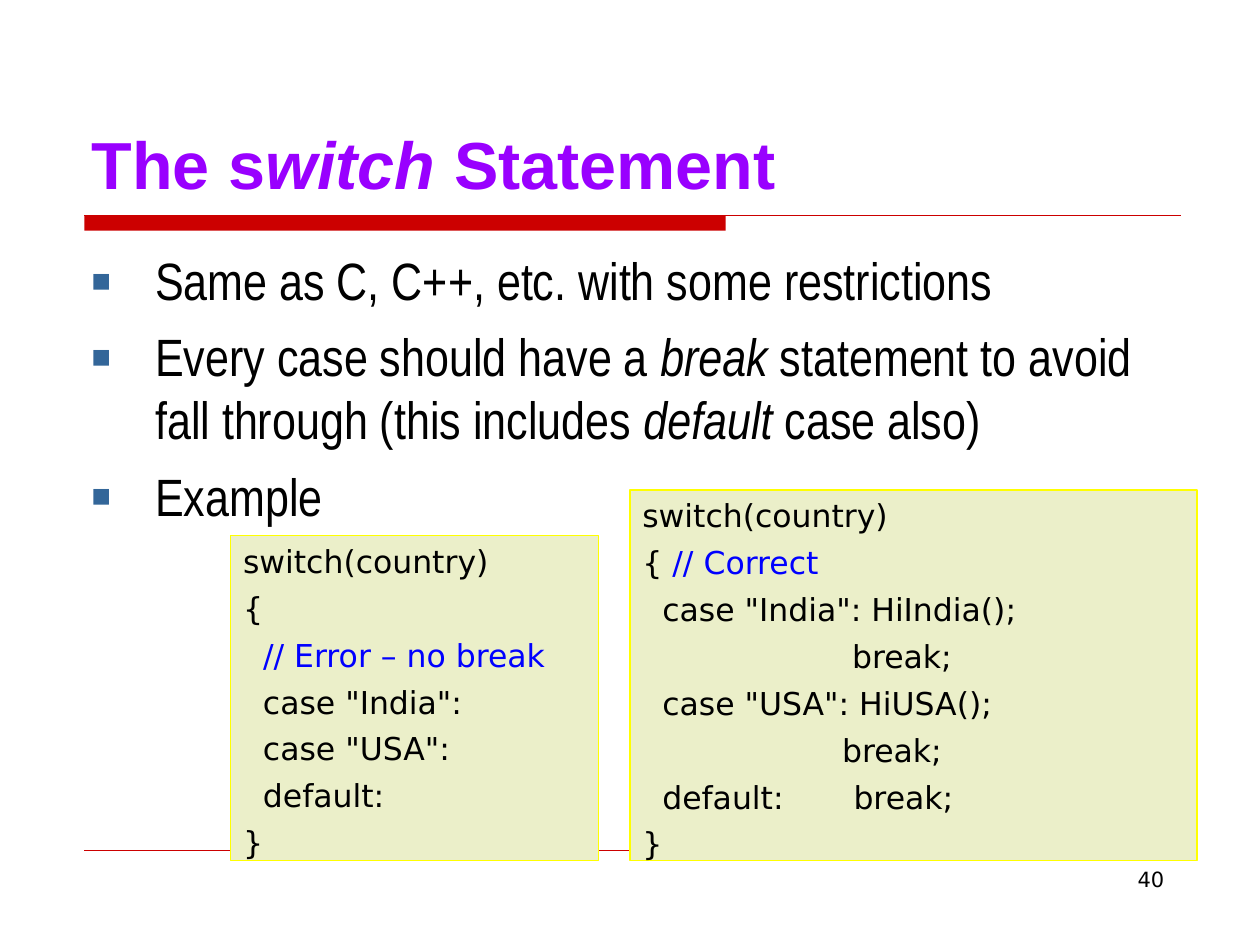
from dataclasses import dataclass

from lxml import etree
from pptx import Presentation
from pptx import util as u
from pptx.dml.color import RGBColor
from pptx.enum import shapes, text
from pptx.oxml.ns import qn


@dataclass(frozen=True)
class Theme:
    heading = RGBColor(0x99, 0x00, 0xFF)
    ink = RGBColor(0x00, 0x00, 0x00)
    comment = RGBColor(0x00, 0x00, 0xFF)
    rule = RGBColor(0xCC, 0x00, 0x00)
    panel = RGBColor(0xEB, 0xEF, 0xC9)
    panel_edge = RGBColor(0xFF, 0xFF, 0x00)
    bullet = "336699"
    title_font = {"name": "Arial", "size": u.Pt(38), "bold": True}
    body_font = {"name": "Arial Narrow", "size": u.Pt(30)}
    code_font = {"name": "DejaVu Sans", "size": u.Pt(18)}
    number_font = {"name": "DejaVu Sans", "size": u.Pt(12)}
    body_gap = u.Pt(7.5)
    code_gap = u.Pt(5.2)


def apply(target, values):
    for name, value in values.items():
        setattr(target, name, value)


class SlideBuilder:
    def __init__(self, slide, theme):
        self.slide = slide
        self.theme = theme

    def set_text(self, shape, paragraphs, font, color, frame=None, layout=None, gap=0, bulleted=False):
        text_frame = shape.text_frame
        apply(text_frame, {"word_wrap": True, **(frame or {})})
        for index, runs in enumerate(paragraphs):
            paragraph = text_frame.paragraphs[0] if index == 0 else text_frame.add_paragraph()
            apply(paragraph, layout or {})
            paragraph.space_before = gap if index else u.Pt(0)
            if bulleted:
                self.add_bullet(paragraph)
            for content, style in runs:
                run = paragraph.add_run()
                run.text = content
                run.font.color.rgb = style.get("color", color)
                apply(run.font, {**font, "italic": style.get("italic", False)})

    def add_bullet(self, paragraph):
        properties = paragraph._p.get_or_add_pPr()
        indent = u.Cm(1.3)
        properties.set("marL", str(indent))
        properties.set("indent", str(-indent))
        color = etree.SubElement(properties, qn("a:buClr"))
        etree.SubElement(color, qn("a:srgbClr"), val=self.theme.bullet)
        etree.SubElement(properties, qn("a:buSzPct"), val="60000")
        etree.SubElement(properties, qn("a:buFont"), typeface="DejaVu Sans")
        etree.SubElement(properties, qn("a:buChar"), char="▪")

    def add_text(self, box, paragraphs, font, color, **options):
        shape = self.slide.shapes.add_textbox(*map(u.Cm, box))
        self.set_text(shape, paragraphs, font, color, **options)

    def add_rectangle(self, box, fill, edge=None):
        shape = self.slide.shapes.add_shape(shapes.MSO_SHAPE.RECTANGLE, *map(u.Cm, box))
        shape.shadow.inherit = False
        shape.fill.solid()
        shape.fill.fore_color.rgb = fill
        if edge is None:
            shape.line.fill.background()
        else:
            shape.line.color.rgb = edge
            shape.line.width = u.Pt(0.75)
        return shape

    def add_rule(self, left, right, top, width):
        line = self.slide.shapes.add_connector(
            shapes.MSO_CONNECTOR.STRAIGHT, u.Cm(left), u.Cm(top), u.Cm(right), u.Cm(top))
        line.line.color.rgb = self.theme.rule
        line.line.width = u.Pt(width)
        etree.SubElement(line._element.spPr, qn("a:effectLst"))

    def add_code(self, box, lines):
        theme = self.theme
        panel = self.add_rectangle(box, theme.panel, theme.panel_edge)
        paragraphs = []
        for line in lines:
            code, marker, comment = line.partition("//")
            runs = [(code, {})]
            if marker:
                runs.append((marker + comment, {"color": theme.comment}))
            paragraphs.append(runs)
        self.set_text(
            panel, paragraphs, theme.code_font, theme.ink, gap=theme.code_gap,
            frame={"vertical_anchor": text.MSO_ANCHOR.TOP,
                   "auto_size": text.MSO_AUTO_SIZE.SHAPE_TO_FIT_TEXT},
            layout={"alignment": text.PP_ALIGN.LEFT})


def main():
    presentation = Presentation()
    apply(presentation, {"slide_width": u.Cm(25.4), "slide_height": u.Cm(19.05)})
    theme = Theme()
    builder = SlideBuilder(presentation.slides.add_slide(presentation.slide_layouts[6]), theme)
    italic = {"italic": True}

    builder.add_rectangle((1.7, 4.34, 12.93, 0.31), theme.rule)
    builder.add_rule(1.7, 23.8, 4.34, 0.75)
    builder.add_rule(1.7, 23.7, 17.15, 0.25)
    builder.add_text((18.21, 17.35, 5.51, 1.32), [[("40", {})]], theme.number_font, theme.ink,
                     layout={"alignment": text.PP_ALIGN.RIGHT})
    builder.add_text((1.6, 0.84, 22.22, 3.38),
                     [[("The s", {}), ("witch", italic), (" Statement", {})]],
                     theme.title_font, theme.heading,
                     frame={"vertical_anchor": text.MSO_ANCHOR.BOTTOM})
    builder.add_text(
        (1.58, 4.88, 22.22, 11.86),
        [
            [("Same as C, C++, etc. with some restrictions", {})],
            [("Every case should have a ", {}), ("break", italic),
             (" statement to avoid fall through (this includes ", {}),
             ("default", italic), (" case also)", {})],
            [("Example", {})],
        ],
        theme.body_font, theme.ink, gap=theme.body_gap, bulleted=True)
    builder.add_code((4.65, 10.8, 7.42, 6.55), [
        "switch(country)",
        "{",
        "  // Error – no break",
        '  case "India":',
        '  case "USA":',
        "  default:",
        "}",
    ])
    builder.add_code((12.7, 9.88, 11.43, 7.47), [
        "switch(country)",
        "{ // Correct",
        '  case "India": HiIndia();',
        "                     break;",
        '  case "USA": HiUSA();',
        "                    break;",
        "  default:       break;",
        "}",
    ])
    presentation.save("out.pptx")


if __name__ == "__main__":
    main()
